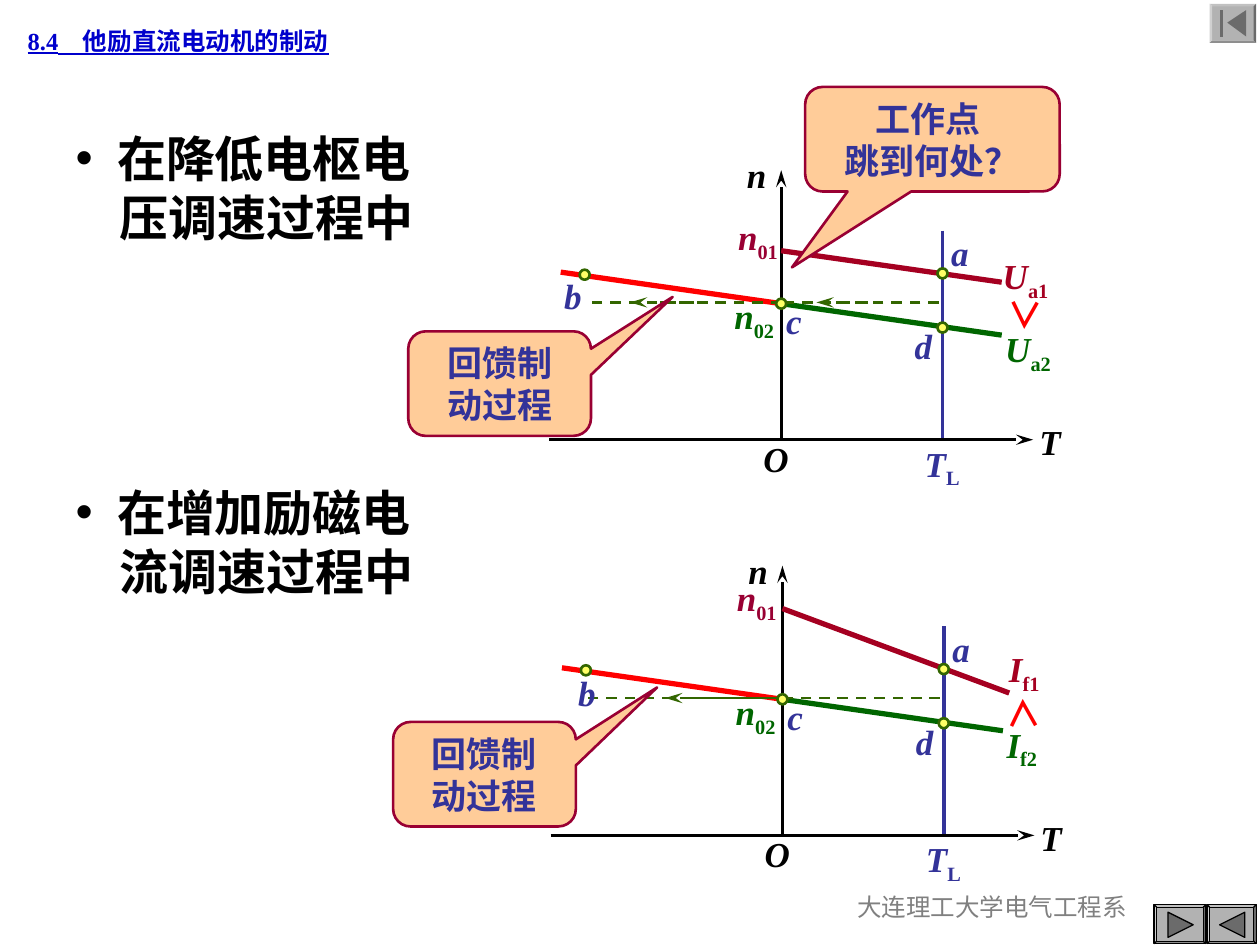
from dataclasses import dataclass

from lxml import etree
from pptx import Presentation
from pptx.dml.color import RGBColor
from pptx.enum import dml, shapes, text
from pptx.oxml.ns import qn
from pptx.util import Inches, Pt


@dataclass(frozen=True)
class Theme:
    font: str = "Times New Roman"
    black: str = "000000"
    heading: str = "0000CC"
    footer: str = "808080"
    blue: str = "333399"
    red: str = "FF0000"
    crimson: str = "A50021"
    maroon: str = "990033"
    green: str = "006600"
    olive: str = "336600"
    peach: str = "FFCC99"
    yellow: str = "FFFF66"
    button: str = "B2B2B2"
    icon: str = "6B6B6B"
    small: int = 14
    label: int = 20
    body: int = 28
    thin: float = 0.75
    axis: float = 1.5
    load: float = 2.25
    curve: float = 3


T = Theme()

HEADING = ("8.4　他励直流电动机的制动", (0.12, 0.15, 3.19, 0.34))
FOOTER = ("大连理工大学电气工程系", (6.29, 7.03, 3.17, 0.5))
CASES = [
    ("在降低电枢电\n压调速过程中", (0.5, 0.97, 3.69, 1.04)),
    ("在增加励磁电\n流调速过程中", (0.5, 3.78, 3.69, 1.04)),
]
BULLET_INDENT, CONTINUATION_INDENT = 0.33, 0.35

# Plot coordinates are offsets from the origin O of each plot.
# Lines: start, end, colour, width, dashed, arrow
SHARED_LINES = [
    ((1.28, -1.66), (1.28, 0), T.blue, T.load, False, False),
    ((-1.75, -1.33), (0, -1.08), T.red, T.curve, False, False),
    ((0, 0), (0, -2.14), T.black, T.axis, False, True),
    ((-1.84, 0), (2, 0), T.black, T.axis, False, True),
    ((0, -1.08), (1.75, -0.83), T.green, T.curve, False, False),
]
# Labels: letter, subscript, left, top, width, colour
SHARED_LABELS = [
    ("O", "", -0.24, -0.07, 0.39, T.black),
    ("T", "", 1.95, -0.2, 0.5, T.black),
    ("n", "", -0.37, -2.32, 0.42, T.black),
    ("T", "L", 1.04, -0.03, 0.6, T.blue),
    ("n", "02", -0.47, -1.2, 0.6, T.green),
    ("a", "", 1.25, -1.7, 0.35, T.blue),
    ("c", "", -0.06, -1.16, 0.33, T.blue),
    ("d", "", 0.96, -0.96, 0.41, T.blue),
]
POINTS = [(1.28, -1.32), (-1.56, -1.31), (0, -1.08), (1.28, -0.89)]
DASH_Y = -1.09
PLOTS = [
    {
        "origin": (6.2, 3.49),
        "upper": ((0, -1.5), (1.75, -1.25)),
        "dashes": [(1.25, 0.28, True), (0.69, 0, False),
                   (0, -1.2, True), (-0.69, -1.54, False)],
        "labels": [("n", "01", -0.44, -1.83, 0.6, T.maroon),
                   ("b", "", -1.82, -1.36, 0.33, T.blue),
                   ("U", "a1", 1.66, -1.52, 0.6, T.crimson),
                   ("U", "a2", 1.68, -0.94, 0.6, T.green)],
        "compare": (1.7, -1.2, 92),
    },
    {
        "origin": (6.21, 6.63),
        "upper": ((0, -1.8), (1.8, -1.13)),
        "dashes": [(1.25, -0.93, True), (0, -1.55, False)],
        "labels": [("n", "01", -0.46, -2.1, 0.6, T.maroon),
                   ("b", "", -1.72, -1.35, 0.33, T.blue),
                   ("I", "f1", 1.7, -1.54, 0.6, T.crimson),
                   ("I", "f2", 1.68, -0.94, 0.6, T.green)],
        "compare": (1.67, -1.19, 268),
    },
]
CALLOUTS = [
    ("回馈制\n动过程", (3.24, 2.63, 1.45, 0.83), (0.947, -0.829)),
    ("工作点 \n跳到何处？", (6.39, 0.69, 2.02, 0.83), (-0.552, 1.226)),
    ("回馈制\n动过程", (3.12, 5.73, 1.45, 0.83), (0.945, -0.83)),
]
# Buttons: frame, outline colour, icon polygons
BUTTONS = [
    ((9.16, 7.18, 0.41, 0.31), T.black, [[(9.27, 7.24), (9.47, 7.34), (9.27, 7.44)]]),
    ((9.58, 7.18, 0.39, 0.31), T.black, [[(9.68, 7.34), (9.88, 7.24), (9.88, 7.44)]]),
    ((9.6, 0.03, 0.37, 0.31), None,
     [[(9.74, 0.18), (9.89, 0.08), (9.89, 0.29)],
      [(9.68, 0.08), (9.71, 0.08), (9.71, 0.29), (9.68, 0.29)]]),
]


def rgb(colour):
    return RGBColor.from_string(colour)


def frame(box):
    return [Inches(v) for v in box]


def style(part, size, colour, align=text.PP_ALIGN.LEFT, bold=True):
    for paragraph in part.text_frame.paragraphs:
        paragraph.alignment = align
        paragraph.space_before = Pt(0)
        for run in paragraph.runs:
            run.font.name, run.font.size, run.font.bold = T.font, Pt(size), bold
            run.font.color.rgb = rgb(colour)


def paint(shape, fill, line, width=T.axis):
    shape.shadow.inherit = False
    shape.fill.solid()
    shape.fill.fore_color.rgb = rgb(fill)
    if line:
        shape.line.color.rgb = rgb(line)
        shape.line.width = Pt(width)
    else:
        shape.line.fill.background()


def place(holder, content, box, anchor):
    """Move a placeholder and fill it, with its size fixed."""
    holder.left, holder.top, holder.width, holder.height = frame(box)
    body = holder.text_frame
    body.text = content
    body.auto_size = text.MSO_AUTO_SIZE.NONE
    body.vertical_anchor = anchor


def set_indent(paragraph, left, bullet):
    props = paragraph._p.get_or_add_pPr()
    props.set("marL", str(Inches(left)))
    props.set("indent", str(-Inches(left) if bullet else 0))
    if bullet:
        etree.SubElement(props, qn("a:buChar"), char=bullet)
    else:
        etree.SubElement(props, qn("a:buNone"))


def add_text(slide, content, box):
    label = slide.shapes.add_textbox(*frame(box))
    label.text_frame.word_wrap = True
    label.text_frame.text = content
    return label


def add_line(slide, origin, start, end, colour, width, dashed, arrow):
    ends = [Inches(o + v) for point in (start, end) for o, v in zip(origin, point)]
    line = slide.shapes.add_connector(shapes.MSO_CONNECTOR.STRAIGHT, *ends)
    line.line.color.rgb = rgb(colour)
    line.line.width = Pt(width)
    if dashed:
        line.line.dash_style = dml.MSO_LINE.DASH
    if arrow:
        etree.SubElement(line.line._get_or_add_ln(), qn("a:tailEnd"), type="stealth", len="lg")
    etree.SubElement(line._element.spPr, qn("a:effectLst"))


def add_plot(slide, plot):
    ox, oy = plot["origin"]
    lines = SHARED_LINES + [(*plot["upper"], T.crimson, T.curve, False, False)]
    lines += [((x1, DASH_Y), (x2, DASH_Y), T.olive, T.axis, True, arrow)
              for x1, x2, arrow in plot["dashes"]]
    for line in lines:
        add_line(slide, plot["origin"], *line)
    for letter, subscript, x, y, width, colour in SHARED_LABELS + plot["labels"]:
        label = add_text(slide, letter, (ox + x, oy + y, width, 0.48 if subscript else 0.44))
        paragraph = label.text_frame.paragraphs[0]
        if subscript:
            paragraph.add_run().text = subscript
        style(label, T.label, colour)
        paragraph.runs[0].font.italic = True
        for run in paragraph.runs[1:]:
            run.font._element.set("baseline", "-25000")
    x, y, angle = plot["compare"]
    compare = add_text(slide, "＞", (ox + x, oy + y, 0.48, 0.44))
    style(compare, T.label, T.red)
    compare.rotation = angle


def add_points(slide, origin, size=0.08):
    for point in POINTS:
        left, top = (o + v - size / 2 for o, v in zip(origin, point))
        dot = slide.shapes.add_shape(shapes.MSO_SHAPE.OVAL, *frame((left, top, size, size)))
        paint(dot, T.yellow, T.olive)


def add_callout(slide, content, box, tip):
    callout = slide.shapes.add_shape(shapes.MSO_SHAPE.ROUNDED_RECTANGULAR_CALLOUT, *frame(box))
    callout.adjustments[0], callout.adjustments[1] = tip
    paint(callout, T.peach, T.maroon)
    callout.text_frame.word_wrap = False
    callout.text_frame.text = content
    style(callout, T.label, T.blue, text.PP_ALIGN.CENTER)


def add_button(slide, box, outline, icons):
    button = slide.shapes.add_shape(shapes.MSO_SHAPE.BEVEL, *frame(box))
    button.adjustments[0] = 0.02 / box[3]
    paint(button, T.button, outline, T.thin)
    for icon in icons:
        start, *rest = [tuple(frame(point)) for point in icon]
        builder = slide.shapes.build_freeform(*start)
        builder.add_line_segments(rest)
        paint(builder.convert_to_shape(), T.icon, outline, T.thin)


def main():
    deck = Presentation()
    deck.slide_width, deck.slide_height = Inches(10), Inches(7.5)
    slide = deck.slides.add_slide(deck.slide_layouts[3])
    heading, *bodies = slide.placeholders

    place(heading, *HEADING, text.MSO_ANCHOR.MIDDLE)
    style(heading, T.small, T.heading)
    heading.text_frame.paragraphs[0].runs[0].font.underline = True

    for body, case in zip(bodies, CASES):
        place(body, *case, text.MSO_ANCHOR.TOP)
        first, second = body.text_frame.paragraphs
        set_indent(first, BULLET_INDENT, "•")
        set_indent(second, CONTINUATION_INDENT, None)
        style(body, T.body, T.black)

    footer = add_text(slide, *FOOTER)
    style(footer, T.small, T.footer, text.PP_ALIGN.CENTER, bold=False)
    for plot in PLOTS:
        add_plot(slide, plot)
    for callout in CALLOUTS:
        add_callout(slide, *callout)
    for plot in PLOTS:
        add_points(slide, plot["origin"])
    for button in BUTTONS:
        add_button(slide, *button)
    deck.save("out.pptx")


if __name__ == "__main__":
    main()
